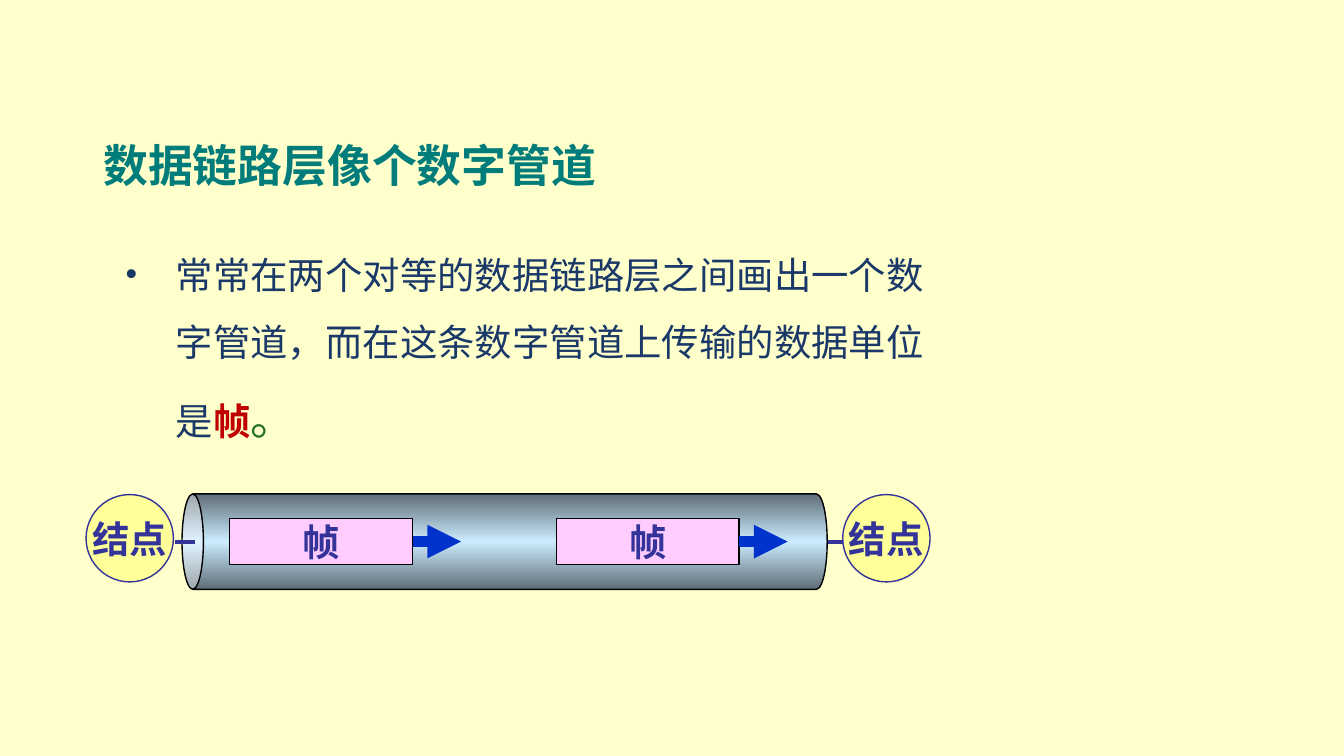
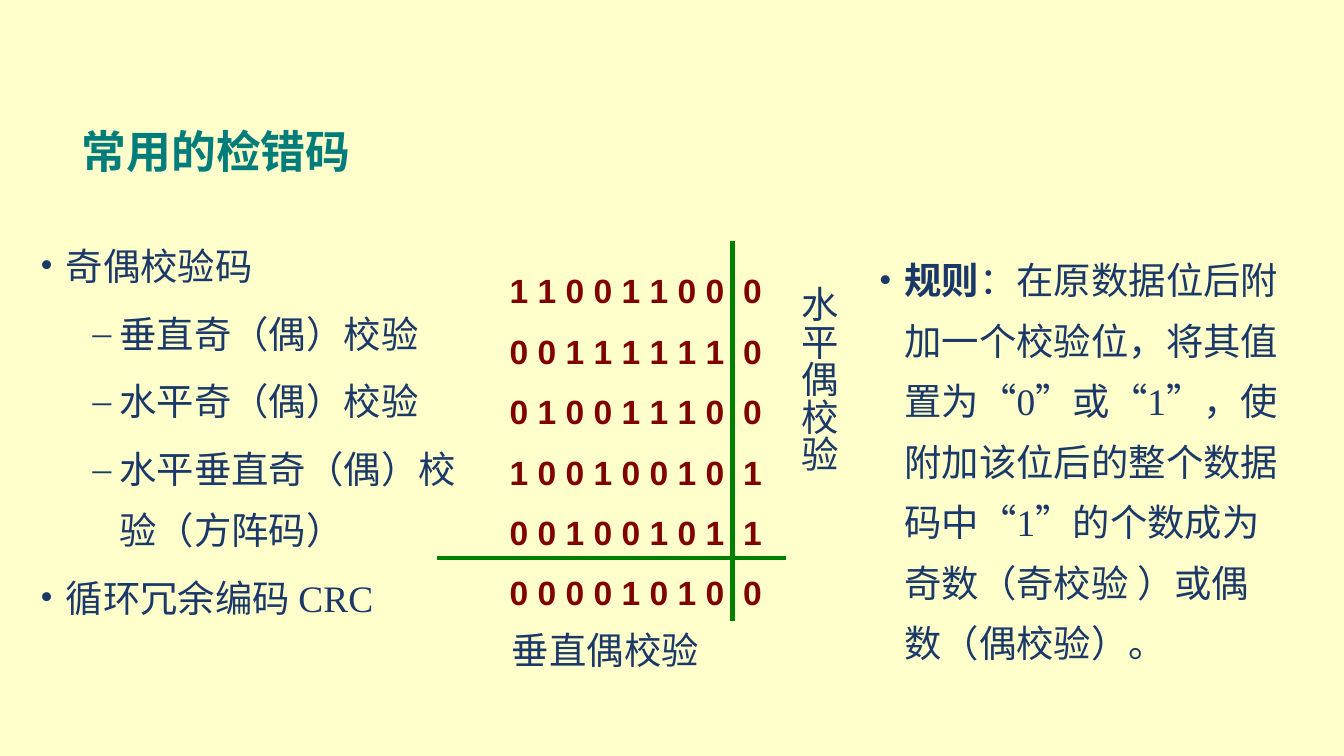
from copy import deepcopy
from lxml.etree import SubElement
from pptx import Presentation
from pptx.dml.color import RGBColor
from pptx.enum.shapes import MSO_CONNECTOR, MSO_SHAPE
from pptx.enum.text import MSO_ANCHOR, MSO_AUTO_SIZE, PP_ALIGN
from pptx.oxml.ns import qn
from pptx.util import Inches, Pt

CREAM = RGBColor(0xFF, 0xFF, 0xCC)
TEAL = RGBColor(0x00, 0x7D, 0x7A)
NAVY = RGBColor(0x1A, 0x38, 0x68)
RED = RGBColor(0xC0, 0x00, 0x00)
LEAF = RGBColor(0x26, 0x73, 0x26)
INDIGO = RGBColor(0x33, 0x33, 0x99)
YELLOW = RGBColor(0xFF, 0xFF, 0x99)
PINK = RGBColor(0xFF, 0xCC, 0xFF)
BLACK = RGBColor(0x00, 0x00, 0x00)
STEEL = RGBColor(0x5E, 0x6D, 0x76)
SKY = RGBColor(0xCC, 0xEC, 0xFF)
BLUE = RGBColor(0x00, 0x33, 0xCC)
MAROON = RGBColor(0x80, 0x00, 0x00)
GREEN = RGBColor(0x00, 0x80, 0x00)

TITLE = {"name": "Times New Roman", "size": Pt(24), "bold": True, "color": TEAL}
BODY = {"name": "Times New Roman", "size": Pt(20), "bold": False, "color": NAVY}
LABEL = {**BODY, "bold": True, "color": INDIGO}
BITS = {"name": "Arial", "size": Pt(18), "bold": True, "color": MAROON}

CENTERED = {"alignment": PP_ALIGN.CENTER}
WRAPPED = {"word_wrap": True, "vertical_anchor": MSO_ANCHOR.TOP}
MIDDLE = {"word_wrap": True, "vertical_anchor": MSO_ANCHOR.MIDDLE}
UNWRAPPED = {"word_wrap": False, "vertical_anchor": MSO_ANCHOR.MIDDLE}
GROWING = {"word_wrap": False, "auto_size": MSO_AUTO_SIZE.SHAPE_TO_FIT_TEXT}


def write_text(shape, paragraphs, frame_format):
    frame = shape.text_frame
    for name, value in frame_format.items():
        setattr(frame, name, value)
    for index, (runs, paragraph_format, bullet) in enumerate(paragraphs):
        paragraph = frame.add_paragraph() if index else frame.paragraphs[0]
        if bullet:
            character, margin, hanging = bullet
            properties = paragraph._p.get_or_add_pPr()
            properties.set("marL", str(Inches(margin)))
            properties.set("indent", str(-Inches(hanging)))
            SubElement(properties, qn("a:buFont")).set("typeface", "Times New Roman")
            SubElement(properties, qn("a:buChar")).set("char", character)
        for name, value in paragraph_format.items():
            setattr(paragraph, name, value)
        for text, font_format in runs:
            run = paragraph.add_run()
            run.text = text
            for name, value in font_format.items():
                if name == "color":
                    run.font.color.rgb = value
                else:
                    setattr(run.font, name, value)


def add_line(slide, start, end, color, width):
    line = slide.shapes.add_connector(
        MSO_CONNECTOR.STRAIGHT, *(Inches(value) for value in (*start, *end)))
    line.line.color.rgb = color
    line.line.width = Pt(width)
    SubElement(line._element.spPr, qn("a:effectLst"))
    return line


presentation = Presentation()
presentation.slide_width = Inches(10)
presentation.slide_height = Inches(10) * 9 // 16

slides = []
for title, box in [
    ("数据链路层像个数字管道", (0.67, 0.91, 5.64, 0.63)),
    ("常用的检错码", (0.51, 0.77, 2.7, 0.7)),
]:
    slide = presentation.slides.add_slide(presentation.slide_layouts[6])
    slide.background.fill.solid()
    slide.background.fill.fore_color.rgb = CREAM
    shape = slide.shapes.add_textbox(*map(Inches, box))
    write_text(shape, [([(title, TITLE)], {}, None)], MIDDLE)
    slides.append(slide)
pipe_slide, code_slide = slides

intro = pipe_slide.shapes.add_textbox(*map(Inches, (0.83, 1.66, 6.39, 3.96)))
write_text(intro, [([
    ("常常在两个对等的数据链路层之间画出一个数字管道，而在这条数字管道上传输的数据单位是", BODY),
    ("帧", {**BODY, "bold": True, "color": RED}),
    ("。", {"name": "Arial", "size": Pt(24), "bold": False, "color": LEAF}),
], {"line_spacing": 1.5}, ("•", 0.38, 0.38))], WRAPPED)

axis = 4.03
for left in (0.64, 6.27):
    node = pipe_slide.shapes.add_shape(
        MSO_SHAPE.OVAL, *map(Inches, (left, 3.68, 0.65, 0.65)))
    node.shadow.inherit = False
    node.fill.solid()
    node.fill.fore_color.rgb = YELLOW
    node.line.color.rgb = INDIGO
    node.line.width = Pt(0.75)
    write_text(node, [([("结点", LABEL)], CENTERED, None)], UNWRAPPED)

add_line(pipe_slide, (1.3, axis), (6.27, axis), INDIGO, 2.25)

pipe = pipe_slide.shapes.add_shape(MSO_SHAPE.CAN, *map(Inches, (3.4, 1.63, 0.71, 4.8)))
pipe.shadow.inherit = False
pipe.rotation = 270
pipe.adjustments[0] = 0.224
pipe.line.color.rgb = BLACK
pipe.line.width = Pt(0.75)
pipe.fill.gradient()
pipe.fill.gradient_angle = 0
stop_list = pipe._element.spPr.find(qn("a:gradFill")).find(qn("a:gsLst"))
stop_list.append(deepcopy(stop_list[0]))
for stop, position, color in zip(pipe.fill.gradient_stops, (0, 0.5, 1), (STEEL, SKY, STEEL)):
    stop.position = position
    stop.color.rgb = color

add_line(pipe_slide, (1.3, axis), (1.45, axis), INDIGO, 2.25)

for left in (1.71, 4.14):
    packet = pipe_slide.shapes.add_shape(
        MSO_SHAPE.RECTANGLE, *map(Inches, (left, 3.86, 1.36, 0.34)))
    packet.shadow.inherit = False
    packet.fill.solid()
    packet.fill.fore_color.rgb = PINK
    packet.line.color.rgb = BLACK
    packet.line.width = Pt(0.75)
    write_text(packet, [([("帧", LABEL)], CENTERED, None)], UNWRAPPED)
    arrow = add_line(pipe_slide, (left + 1.36, axis), (left + 1.72, axis), BLUE, 6)
    arrow.begin_connect(packet, 3)
    SubElement(arrow.line._get_or_add_ln(), qn("a:tailEnd")).set("type", "triangle")

outline = code_slide.shapes.add_textbox(*map(Inches, (0.2, 1.64, 3.31, 3.38)))
outline_paragraphs = []
for index, (level, text) in enumerate([
    (0, "奇偶校验码"),
    (1, "垂直奇（偶）校验"),
    (1, "水平奇（偶）校验"),
    (1, "水平垂直奇（偶）校验（方阵码）"),
    (0, "循环冗余编码 CRC"),
]):
    paragraph_format = {"level": level, "line_spacing": 1.35}
    if index:
        paragraph_format["space_before"] = Pt(4)
    bullet = ("–", 0.59, 0.2) if level else ("•", 0.19, 0.19)
    outline_paragraphs.append(([(text, BODY)], paragraph_format, bullet))
write_text(outline, outline_paragraphs, WRAPPED)

matrix = code_slide.shapes.add_textbox(*map(Inches, (3.69, 1.81, 2.08, 2.81)))
rows = ["110011000", "001111110", "010011100", "100100101", "001001011", "000010100"]
write_text(matrix, [
    ([(" ".join(row[:-1]), BITS), (" ", BITS), (row[-1], BITS)],
     {**CENTERED, "line_spacing": 1.5}, None)
    for row in rows
], GROWING)
for paragraph in matrix.text_frame.paragraphs:
    paragraph.runs[1]._r.get_or_add_rPr().set("spc", "500")

vertical_check = code_slide.shapes.add_textbox(*map(Inches, (3.71, 4.62, 1.59, 0.43)))
write_text(vertical_check, [([("垂直偶校验", BODY)], CENTERED, None)], GROWING)

horizontal_check = code_slide.shapes.add_textbox(*map(Inches, (5.77, 2.03, 0.64, 1.96)))
write_text(horizontal_check, [
    ([("水平偶校验", BODY)], {"alignment": PP_ALIGN.JUSTIFY, "line_spacing": 1.3}, None),
], {**GROWING, "word_wrap": True})
horizontal_check.text_frame._txBody.bodyPr.set("vert", "eaVert")

add_line(code_slide, (3.25, 4.15), (5.85, 4.15), GREEN, 2.25)
add_line(code_slide, (5.45, 1.79), (5.45, 4.62), GREEN, 2.25)

rule = code_slide.shapes.add_shape(
    MSO_SHAPE.RECTANGLE, *map(Inches, (6.44, 1.75, 3.22, 3.28)))
rule.shadow.inherit = False
rule.fill.solid()
rule.fill.fore_color.rgb = CREAM
rule.line.fill.background()
write_text(rule, [([
    ("规则", {**BODY, "bold": True}),
    ("：在原数据位后附加一个校验位，将其值置为“0”或“1”，使附加该位后的整个数据码中“1”的个数成为"
     "奇数（奇校验 ）或偶数（偶校验）。", BODY),
], {"alignment": PP_ALIGN.LEFT, "line_spacing": 1.35}, ("•", 0.19, 0.19))],
    {**WRAPPED, "auto_size": MSO_AUTO_SIZE.SHAPE_TO_FIT_TEXT})

presentation.save("out.pptx")
